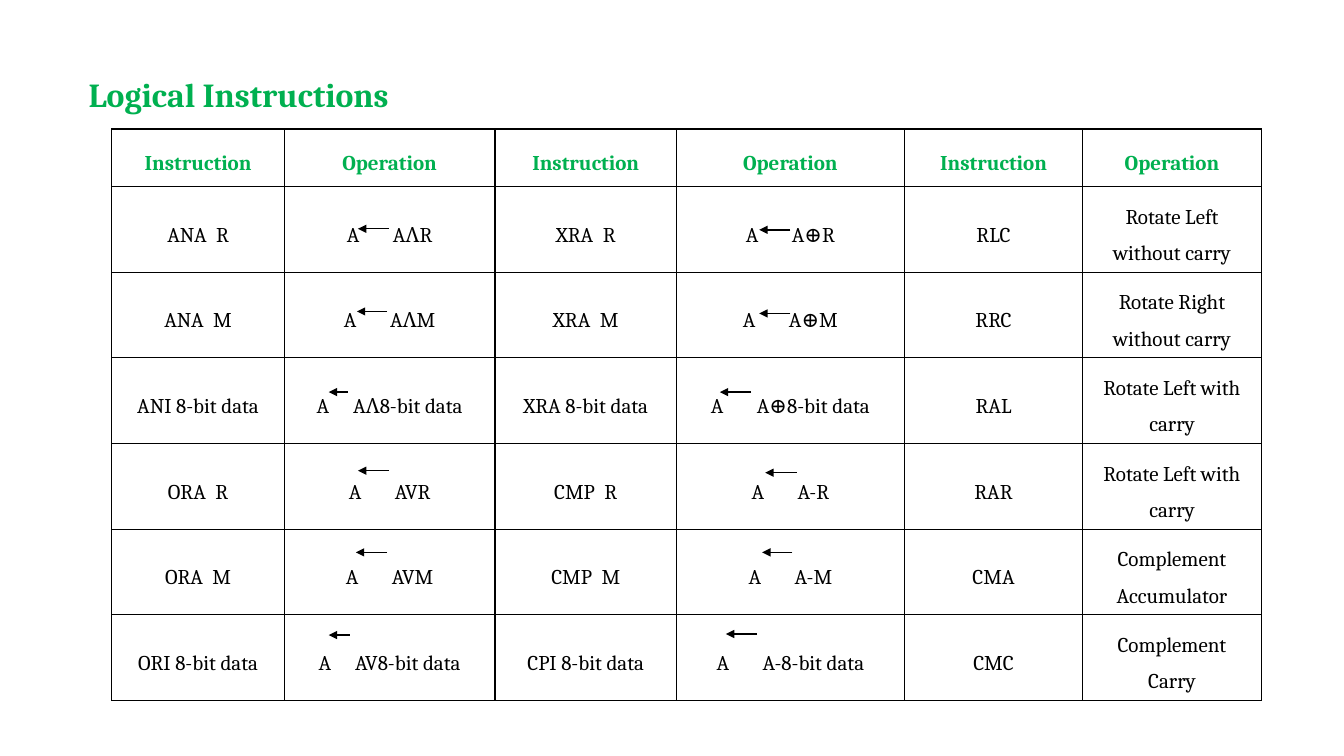
from lxml.etree import SubElement
from pptx import Presentation
from pptx.dml.color import RGBColor
from pptx.enum.shapes import MSO_CONNECTOR
from pptx.enum.text import MSO_ANCHOR, PP_ALIGN
from pptx.oxml.ns import qn
from pptx.util import Pt

PX = 9144
FONT = "Cambria"
GREEN, BLACK, WHITE = "00B050", "000000", "FFFFFF"
SPACE_WIDTH = 343

COLUMN_WIDTHS = [171, 209, 180, 226, 177, 177]
HEADER_HEIGHT, ROW_HEIGHT = 57, 82
HEADINGS = ["Instruction", "Operation"] * 3
INSTRUCTIONS = [
    [("ANA", 2, "R"), ("A", 7, "AɅR"), ("XRA", 2, "R"), ("A", 7, "A⊕R"),
     "RLC", "Rotate Left without carry"],
    [("ANA", 2, "M"), ("A", 7, "AɅM"), ("XRA", 2, "M"), ("A", 7, "A⊕M"),
     "RRC", "Rotate Right without carry"],
    ["ANI 8-bit data", ("A", 5, "AɅ8-bit data"), "XRA 8-bit data", ("A", 7, "A⊕8-bit data"),
     "RAL", "Rotate Left with carry"],
    [("ORA", 2, "R"), ("A", 7, "AVR"), ("CMP", 2, "R"), ("A", 7, "A-R"),
     "RAR", "Rotate Left with carry"],
    [("ORA", 2, "M"), ("A", 7, "AVM"), ("CMP", 2, "M"), ("A", 7, "A-M"),
     "CMA", "Complement Accumulator"],
    ["ORI 8-bit data", ("A", 5, "AV8-bit data"), "CPI 8-bit data", ("A", 7, "A-8-bit data"),
     "CMC", "Complement Carry"],
]
ASSIGNMENT_ARROWS = [
    (386, 355, 227), (384, 354, 309), (345, 326, 389),
    (386, 355, 467), (384, 353, 548), (347, 326, 630),
    (784, 753, 228), (784, 753, 311), (745, 714, 389),
    (790, 759, 469), (786, 756, 548), (751, 720, 629),
]


def px(length):
    """Turn a length in px into EMU."""
    return round(length * PX)


def color(hex_code):
    """Turn a hex string into a colour."""
    return RGBColor.from_string(hex_code)


def add_run(paragraph, text, size, hex_code, bold=False):
    """Add one formatted run and return it."""
    run = paragraph.add_run()
    run.text = text
    run.font.name = FONT
    run.font.size = Pt(size)
    run.font.bold = bold
    run.font.color.rgb = color(hex_code)
    return run


def add_title(slide, text):
    """Add the slide heading."""
    title = slide.shapes.add_textbox(px(78), px(48), px(1172), px(668))
    title.text_frame.word_wrap = True
    paragraph = title.text_frame.paragraphs[0]
    paragraph.alignment = PP_ALIGN.JUSTIFY
    paragraph.line_spacing = 1.5
    paragraph.space_before = Pt(10)
    add_run(paragraph, text, 24, GREEN, True)


def add_borders(cell):
    """Draw a thin black border on every side of a cell."""
    properties = cell._tc.get_or_add_tcPr()
    for side in ("a:lnL", "a:lnR", "a:lnT", "a:lnB"):
        border = SubElement(properties, qn(side), w=str(Pt(1)))
        fill = SubElement(border, qn("a:solidFill"))
        SubElement(fill, qn("a:srgbClr"), val=BLACK)


def fill_cell(cell, content, hex_code, bold):
    """Style a cell and write its text, widening the space inside a split entry."""
    add_borders(cell)
    cell.fill.solid()
    cell.fill.fore_color.rgb = color(WHITE)
    cell.vertical_anchor = MSO_ANCHOR.MIDDLE
    paragraph = cell.text_frame.paragraphs[0]
    paragraph.alignment = PP_ALIGN.CENTER
    paragraph.line_spacing = 1.5
    if isinstance(content, str):
        add_run(paragraph, content, 15, hex_code, bold)
        return
    left, spaces, right = content
    add_run(paragraph, left, 15, hex_code, bold)
    gap = add_run(paragraph, " ", 15, hex_code, bold)
    gap._r.get_or_add_rPr().set("spc", str((spaces - 1) * SPACE_WIDTH))
    add_run(paragraph, right, 15, hex_code, bold)


def add_instruction_table(slide):
    """Add the table of instructions and their operations."""
    rows = [HEADINGS] + INSTRUCTIONS
    heights = [HEADER_HEIGHT] + [ROW_HEIGHT] * len(INSTRUCTIONS)
    table = slide.shapes.add_table(
        len(rows), len(COLUMN_WIDTHS), px(111), px(128),
        px(sum(COLUMN_WIDTHS)), px(sum(heights))).table
    for column, width in zip(table.columns, COLUMN_WIDTHS):
        column.width = px(width)
    for row_index, (entries, height) in enumerate(zip(rows, heights)):
        table.rows[row_index].height = px(height)
        is_header = row_index == 0
        for column_index, entry in enumerate(entries):
            fill_cell(table.cell(row_index, column_index), entry,
                      GREEN if is_header else BLACK, is_header)


def add_arrow(slide, start, end, y):
    """Add a horizontal arrow with its head at the end."""
    arrow = slide.shapes.add_connector(
        MSO_CONNECTOR.STRAIGHT, px(start), px(y), px(end), px(y))
    arrow.line.color.rgb = color(BLACK)
    arrow.line.width = Pt(1)
    SubElement(arrow.line._get_or_add_ln(), qn("a:tailEnd"), type="triangle")
    SubElement(arrow._element.spPr, qn("a:effectLst"))


def main():
    """Build and save the slide."""
    presentation = Presentation()
    presentation.slide_width, presentation.slide_height = px(1333), px(750)
    slide = presentation.slides.add_slide(presentation.slide_layouts[6])
    add_title(slide, "Logical Instructions")
    add_instruction_table(slide)
    for start, end, y in ASSIGNMENT_ARROWS:
        add_arrow(slide, start, end, y)
    presentation.save("out.pptx")


if __name__ == "__main__":
    main()
